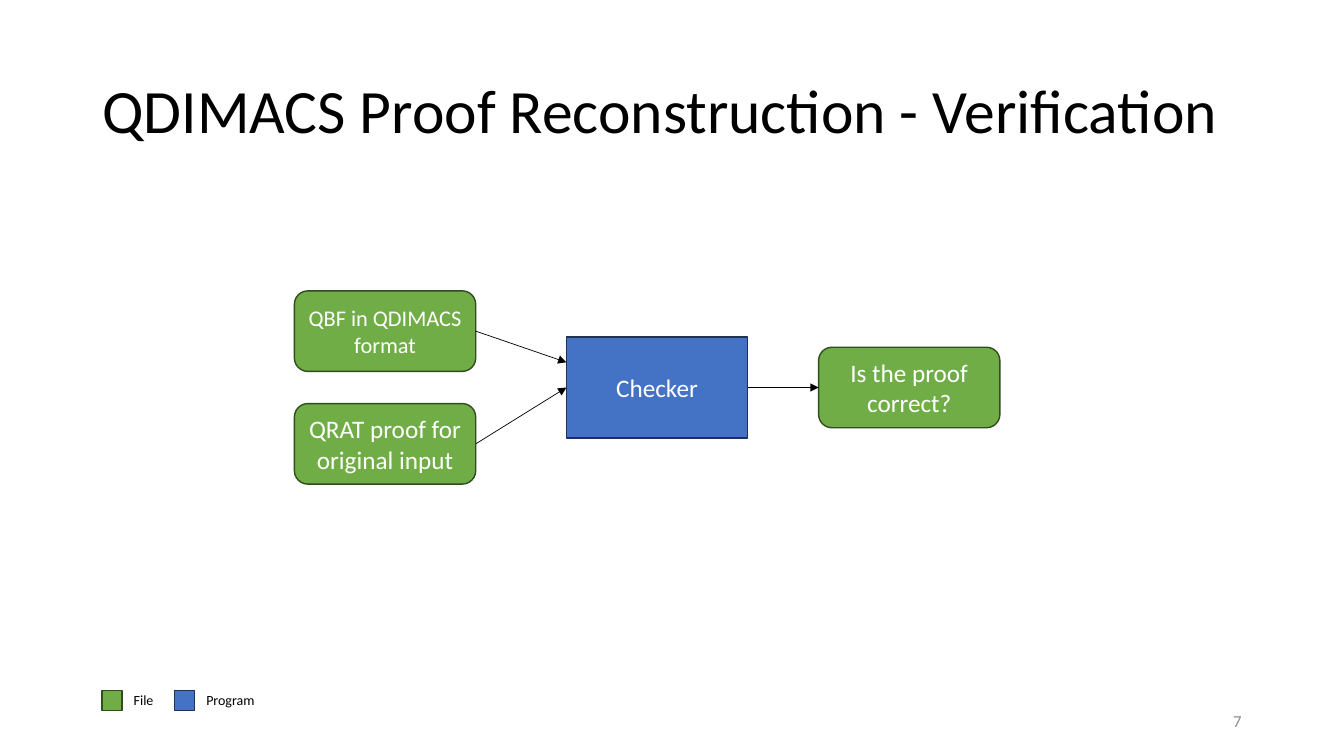
from dataclasses import dataclass

from lxml import etree
from pptx import Presentation
from pptx.dml.color import RGBColor
from pptx.enum.shapes import MSO_CONNECTOR, MSO_SHAPE
from pptx.enum.text import MSO_ANCHOR, PP_ALIGN
from pptx.oxml.ns import qn
from pptx.util import Cm, Pt

RECT, ROUND = MSO_SHAPE.RECTANGLE, MSO_SHAPE.ROUNDED_RECTANGLE
LINE = MSO_CONNECTOR.STRAIGHT
LEFT, MID, RIGHT = PP_ALIGN.LEFT, PP_ALIGN.CENTER, PP_ALIGN.RIGHT
TOP, CENTER = MSO_ANCHOR.TOP, MSO_ANCHOR.MIDDLE
WEST, EAST = 1, 3  # connection sites


@dataclass(frozen=True)
class Theme:
    font: str = "Calibri"
    ink: str = "000000"
    white: str = "FFFFFF"
    gray: str = "8C8C8C"
    file: tuple = ("70AD47", "314C1F")  # fill, edge
    prog: tuple = ("4472C4", "1E3256")
    title: int = 44
    body: int = 18
    small: int = 16
    foot: int = 12
    key: int = 10


THEME = Theme()


def color(code):
    return RGBColor.from_string(code)


def write(shape, text, size=THEME.body, ink=THEME.ink, align=LEFT,
          anchor=CENTER, space=1.0):
    """Put formatted text in a shape."""
    frame = shape.text_frame
    frame.word_wrap = True
    frame.vertical_anchor = anchor
    para = frame.paragraphs[0]
    para.alignment = align
    para.line_spacing = space
    run = para.add_run()
    run.text = text
    run.font.name = THEME.font
    run.font.size = Pt(size)
    run.font.color.rgb = color(ink)


def label(slide, box, text, **style):
    write(slide.shapes.add_textbox(*map(Cm, box)), text, **style)


def block(slide, kind, box, paint):
    shape = slide.shapes.add_shape(kind, *map(Cm, box))
    shape.shadow.inherit = False
    fill, edge = paint
    shape.fill.solid()
    shape.fill.fore_color.rgb = color(fill)
    shape.line.color.rgb = color(edge)
    shape.line.width = Pt(1)
    return shape


def node(slide, kind, box, paint, text, size=THEME.body):
    shape = block(slide, kind, box, paint)
    write(shape, text, size=size, ink=THEME.white, align=MID)
    return shape


def arrow(slide, start, goal, drop=None):
    """Join two nodes; drop ends the arrow at that share of the goal's side."""
    y = goal.top + int(goal.height * (drop or 0.5))
    link = slide.shapes.add_connector(LINE, 0, 0, goal.left, y)
    link.begin_connect(start, EAST)
    if drop is None:
        link.end_connect(goal, WEST)
    link.line.color.rgb = color(THEME.ink)
    link.line.width = Pt(0.5)
    stroke = link.line._get_or_add_ln()
    etree.SubElement(stroke, qn("a:tailEnd"), type="triangle")
    etree.SubElement(stroke.getparent(), qn("a:effectLst"))


def flow(slide, box):
    """Two input files, the checker and its answer, on one middle axis."""
    x, y, wide, high = box
    w, h, tall = 4.57, 2.03, 2.54
    axis = y + high / 2

    # Nodes
    formula = node(slide, ROUND, (x, y, w, h), THEME.file,
                   "QBF in QDIMACS format", size=THEME.small)
    proof = node(slide, ROUND, (x, y + high - h, w, h), THEME.file,
                 "QRAT proof for original input")
    check = node(slide, RECT, (x + 1.5 * w, axis - tall / 2, w, tall),
                 THEME.prog, "Checker")
    answer = node(slide, ROUND, (x + wide - w, axis - h / 2, w, h),
                  THEME.file, "Is the proof correct?")

    # Arrows
    arrow(slide, formula, check, drop=0.25)
    arrow(slide, proof, check)
    arrow(slide, check, answer)


def legend(slide, box):
    """Colour swatches, each with its label to the right."""
    x, y, step, side = box
    items = (("File", THEME.file, 1.22), ("Program", THEME.prog, 3.53))
    for i, (name, paint, width) in enumerate(items):
        left = x + i * step
        block(slide, RECT, (left, y, side, side), paint)
        label(slide, (left + 0.55, y - 0.09, width, 0.68), name,
              size=THEME.key, anchor=TOP)


def main():
    deck = Presentation()
    deck.slide_width, deck.slide_height = Cm(33.87), Cm(19.05)
    slide = deck.slides.add_slide(deck.slide_layouts[6])

    label(slide, (2.33, 1.01, 29.21, 3.68),
          "QDIMACS Proof Reconstruction - Verification",
          size=THEME.title, space=0.9)
    flow(slide, (7.42, 7.33, 17.78, 4.87))
    legend(slide, (2.57, 17.4, 1.83, 0.51))
    label(slide, (23.92, 17.66, 7.62, 1.01), "7",
          size=THEME.foot, ink=THEME.gray, align=RIGHT)

    deck.save("out.pptx")


if __name__ == "__main__":
    main()
